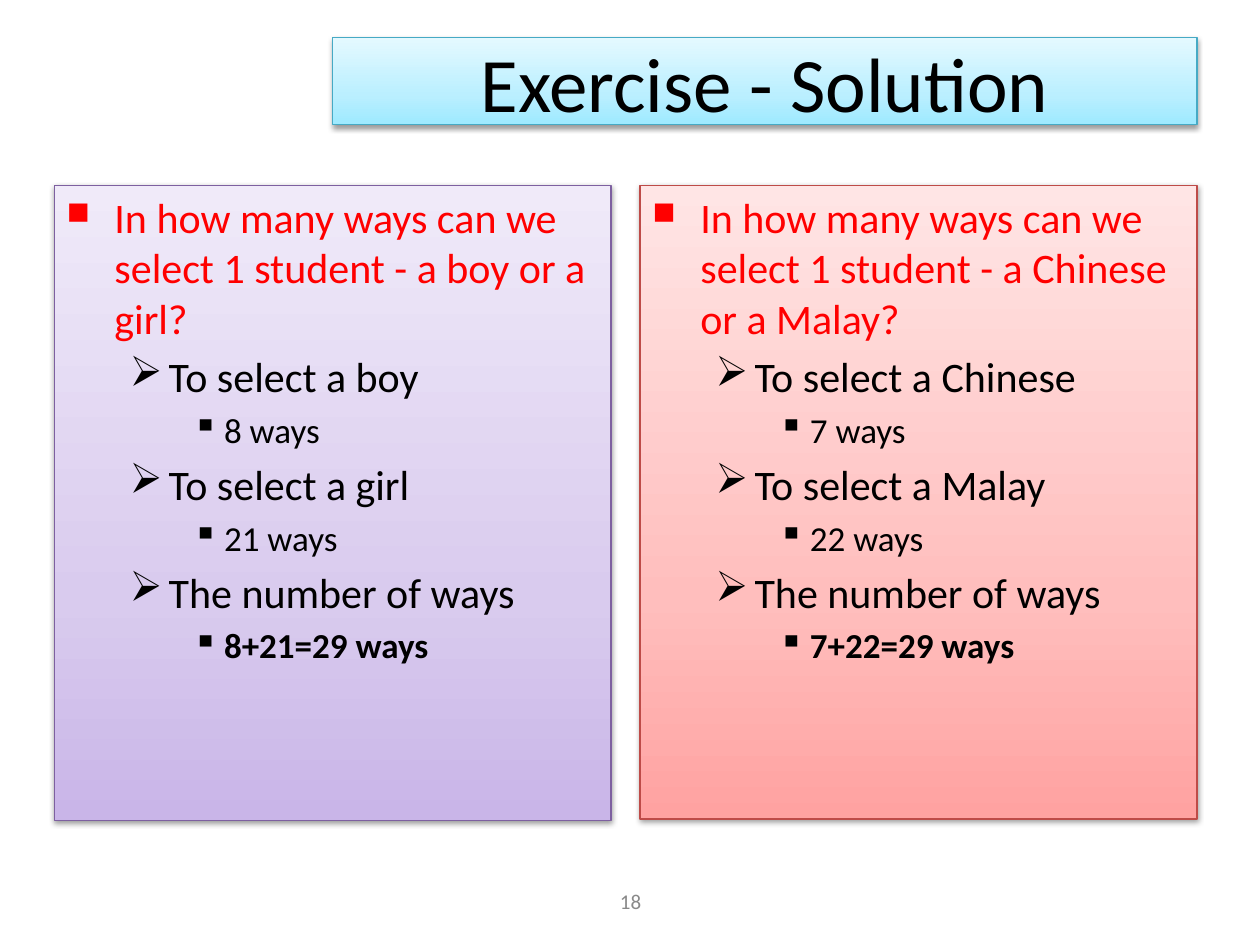
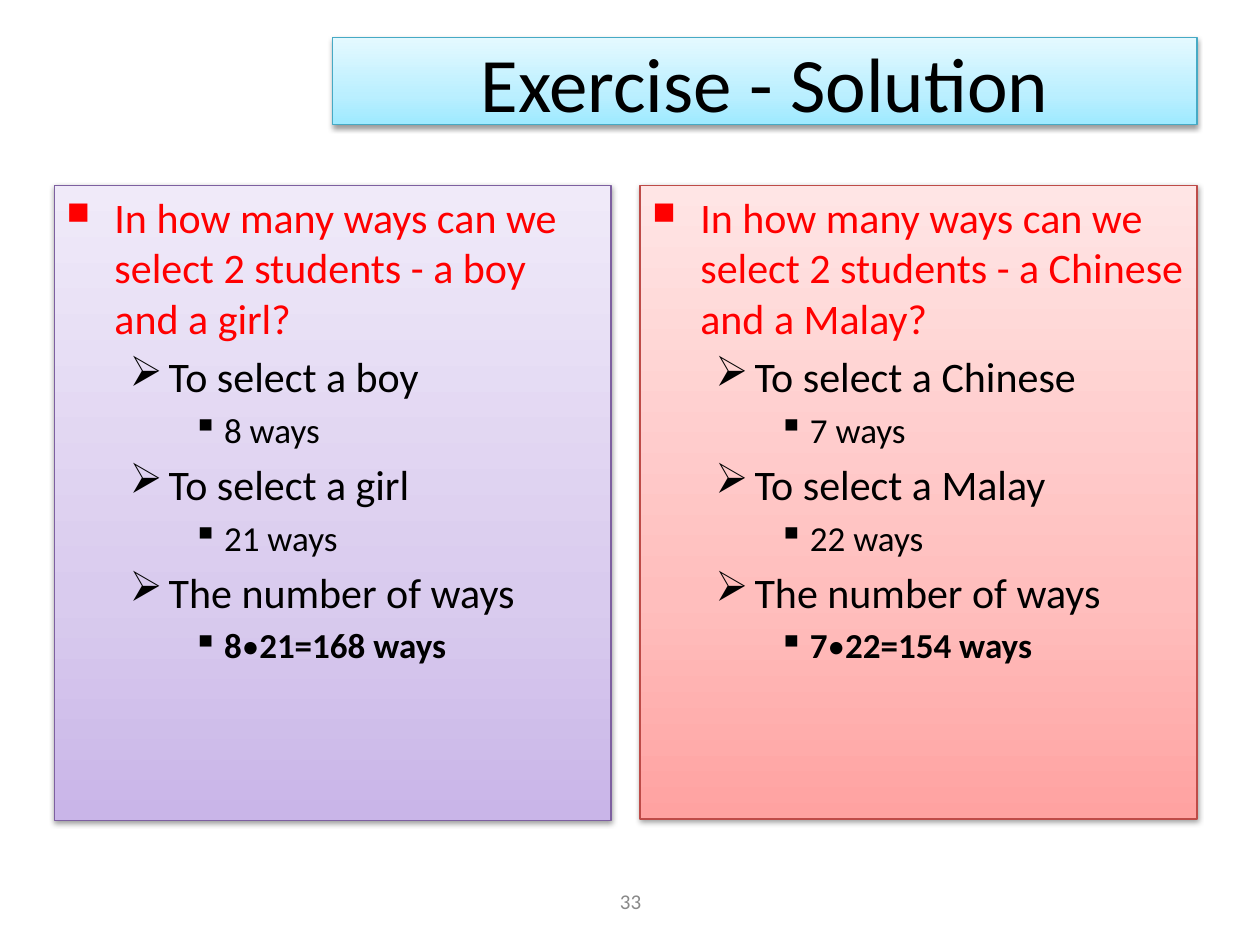
from lxml.etree import SubElement
from pptx import Presentation
from pptx.dml.color import RGBColor
from pptx.enum.shapes import MSO_SHAPE
from pptx.enum.text import MSO_ANCHOR, PP_ALIGN
from pptx.oxml.ns import qn
from pptx.util import Inches, Pt

FONT = "Calibri"
COLORS = {"ink": "000000", "ask": "FF0000", "page": "898989"}
# Band style: line colour, then gradient stops from top to bottom
BANDS = {
    "title": ("46AAC5", ["E4F9FF", "BBEFFF", "9EEAFF"]),
    "left": ("7D60A0", ["F0EAF9", "D9CBEE", "C9B5E8"]),
    "right": ("BE4B48", ["FFE5E5", "FFBEBD", "FFA2A1"]),
}
STOPS = [0, 65, 100]
# Outline level: bullet, bullet size %, left margin, hang, text size, colour
LEVELS = {
    "ask": ("■", 75, 0.38, 0.38, 24, "ask"),
    "step": ("➢", 100, 0.81, 0.31, 24, "ink"),
    "count": ("▪", 100, 1.25, 0.25, 20, "ink"),
}
# Panel: left, height, the two groups and their counts
PANELS = {
    "left": (0.43, 5.04, ("boy", 8), ("girl", 21)),
    "right": (5.08, 5.03, ("Chinese", 7), ("Malay", 22)),
}
# Slide: page number, what to select, joining word, sign, totals
SLIDES = [
    (18, "1 student", "or", "+", {"left": 29, "right": 29}),
    (33, "2 students", "and", "•", {"left": 168, "right": 154}),
]


def add_band(slide, style, x, y, w, h):
    """Add a rectangle with a vertical gradient and a soft shadow."""
    band = slide.shapes.add_shape(
        MSO_SHAPE.RECTANGLE, Inches(x), Inches(y), Inches(w), Inches(h))
    edge, shades = BANDS[style]
    band.line.color.rgb = RGBColor.from_string(edge)
    band.line.width = Pt(0.75)
    band.fill.gradient()
    band.fill.gradient_angle = 270
    props = band._element.spPr
    stops = props.find(qn("a:gradFill")).find(qn("a:gsLst"))
    for old in list(stops):
        stops.remove(old)
    for place, shade in zip(STOPS, shades):
        stop = SubElement(stops, qn("a:gs"), pos=str(place * 1000))
        SubElement(stop, qn("a:srgbClr"), val=shade)
    band.shadow.inherit = False
    shadow = SubElement(
        props.find(qn("a:effectLst")), qn("a:outerShdw"), blurRad=str(Pt(3.1)),
        dist=str(Pt(1.6)), dir="5400000", rotWithShape="0")
    black = SubElement(shadow, qn("a:srgbClr"), val="000000")
    SubElement(black, qn("a:alpha"), val="38000")
    return band.text_frame


def set_font(item, size, color):
    """Set the font of a paragraph."""
    item.font.name = FONT
    item.font.size = Pt(size)
    item.font.color.rgb = RGBColor.from_string(COLORS[color])


deck = Presentation()
deck.slide_width, deck.slide_height = Inches(10), Inches(7.5)

for page, picks, join, sign, totals in SLIDES:
    slide = deck.slides.add_slide(deck.slide_layouts[6])

    # Title band
    frame = add_band(slide, "title", 2.64, 0.3, 6.86, 0.69)
    title = frame.paragraphs[0]
    title.text = "Exercise - Solution"
    title.alignment = PP_ALIGN.CENTER
    set_font(title, 44, "ink")

    # Two panels, each with a question and its worked answer
    for side, (x, height, first, second) in PANELS.items():
        frame = add_band(slide, side, x, 1.47, 4.42, height)
        frame.word_wrap = True
        frame.vertical_anchor = MSO_ANCHOR.TOP
        (one, m), (two, n) = first, second
        rows = [
            ("ask", f"In how many ways can we select {picks} - a {one} {join} a {two}?"),
            ("step", f"To select a {one}"),
            ("count", f"{m} ways"),
            ("step", f"To select a {two}"),
            ("count", f"{n} ways"),
            ("step", "The number of ways"),
            ("count", ""),
        ]
        for i, (level, text) in enumerate(rows):
            para = frame.add_paragraph() if i else frame.paragraphs[0]
            para.text = text
            para.alignment = PP_ALIGN.LEFT
            bullet, scale, margin, hang, size, color = LEVELS[level]
            set_font(para, size, color)
            props = para._p.get_or_add_pPr()
            props.set("marL", str(Inches(margin)))
            props.set("indent", str(-Inches(hang)))
            para.space_before = Pt(0)
            before = props.find(qn("a:spcBef"))
            before.remove(before[0])
            SubElement(before, qn("a:spcPct"), val="20000")
            # Bullet marks go ahead of the default run properties
            rest = props.find(qn("a:defRPr"))
            marks = [SubElement(props, qn("a:buSzPct"), val=str(scale * 1000)),
                     SubElement(props, qn("a:buChar"), char=bullet)]
            for mark in marks:
                rest.addprevious(mark)

        # Last row: bold sum or product, with a plain dot as times sign
        for part in (str(m), sign, f"{n}={totals[side]} ways"):
            run = para.add_run()
            run.text = part
            run.font.bold = part != "•"

    # Page number
    box = slide.shapes.add_textbox(
        Inches(3.42), Inches(6.95), Inches(3.17), Inches(0.4))
    box.text_frame.word_wrap = True
    box.text_frame.vertical_anchor = MSO_ANCHOR.MIDDLE
    foot = box.text_frame.paragraphs[0]
    foot.text = str(page)
    foot.alignment = PP_ALIGN.CENTER
    set_font(foot, 12, "page")

deck.save("out.pptx")
